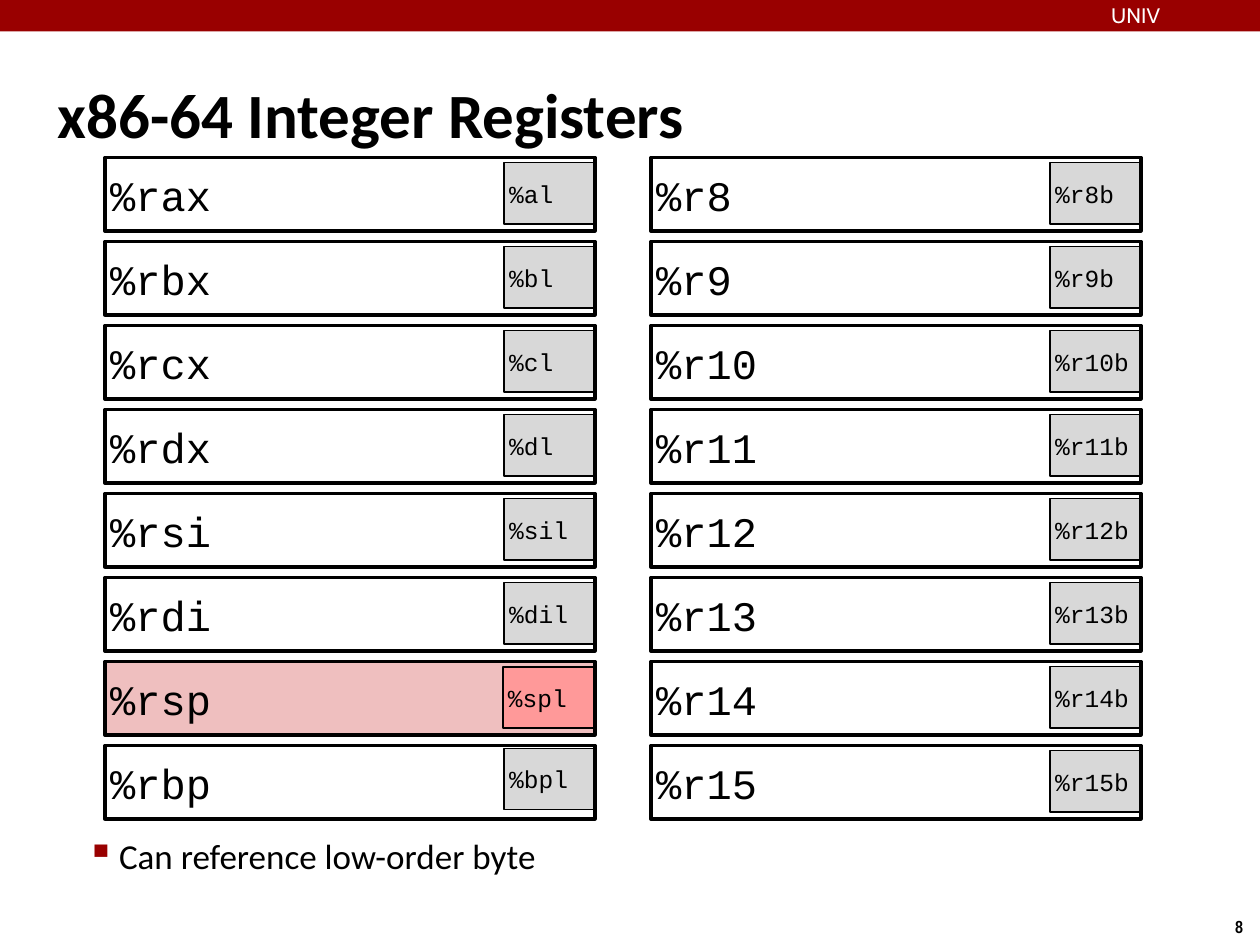
from lxml.etree import SubElement
from pptx import Presentation
from pptx.dml.color import RGBColor
from pptx.enum.shapes import MSO_SHAPE
from pptx.enum.text import MSO_ANCHOR, PP_ALIGN
from pptx.oxml.ns import qn
from pptx.util import Pt

COLORS = {
    "black": "000000",
    "white": "FFFFFF",
    "crimson": "990000",
    "gray": "D8D8D8",
    "pink": "EFBFBF",
    "salmon": "FF9999",
}
LEFT = [
    ("%rax", "%al"), ("%rbx", "%bl"), ("%rcx", "%cl"), ("%rdx", "%dl"),
    ("%rsi", "%sil"), ("%rdi", "%dil"), ("%rsp", "%spl"), ("%rbp", "%bpl"),
]
RIGHT = [(f"%r{n}", f"%r{n}b") for n in range(8, 16)]
BYTE_OFFSETS = {"%spl": (227.3, 3), "%bpl": (228, 1.6)}


def rgb(name):
    """Return the named colour."""
    return RGBColor.from_string(COLORS[name])


def write(sp, text, font, size, color="black", bold=False, margins=(3, 3),
          anchor=MSO_ANCHOR.TOP, align=PP_ALIGN.LEFT, wrap=True):
    """Put one formatted paragraph in a shape and return it."""
    tf = sp.text_frame
    mx, my = map(Pt, margins)
    frame = {"margin_left": mx, "margin_right": mx, "margin_top": my,
             "margin_bottom": my, "word_wrap": wrap, "vertical_anchor": anchor}
    for name, value in frame.items():
        setattr(tf, name, value)
    p = tf.paragraphs[0]
    p.alignment = align
    r = p.add_run()
    r.text = text
    for name, value in {"name": font, "size": Pt(size), "bold": bold}.items():
        setattr(r.font, name, value)
    r.font.color.rgb = rgb(color)
    return p


def add_text(s, box, text, font, size, **formats):
    """Add a text box and return its paragraph."""
    return write(s.shapes.add_textbox(*map(Pt, box)), text, font, size, **formats)


def add_rect(s, box, fill=None, line=None):
    """Add a flat rectangle with an optional fill and black outline."""
    sp = s.shapes.add_shape(MSO_SHAPE.RECTANGLE, *map(Pt, box))
    sp.shadow.inherit = False
    if fill:
        sp.fill.solid()
        sp.fill.fore_color.rgb = rgb(fill)
    else:
        sp.fill.background()
    if line:
        sp.line.color.rgb = rgb("black")
        sp.line.width = Pt(line)
    else:
        sp.line.fill.background()
    return sp


def add_cell(s, box, text, size, fill, line):
    """Add a labelled register rectangle."""
    write(add_rect(s, box, fill, line), text, "Courier New", size,
          anchor=MSO_ANCHOR.MIDDLE)


def add_register(s, box, name, low_byte):
    """Add a register with its low-order byte at the right end."""
    x, y, w, h = box
    dx, dy = BYTE_OFFSETS.get(low_byte, (228, 3))
    stack = name == "%rsp"
    whole = (box, name, 24, "pink" if stack else None, 2)
    part = ((x + dx, y + dy, 52, 35), low_byte, 14,
            "salmon" if stack else "gray", 1 if stack else 0.75)
    for cell in (whole, part) if stack else (part, whole):
        add_cell(s, *cell)


def add_column(s, box, registers):
    """Stack registers evenly in the box."""
    x, y, w, h = box
    gap = 6
    pitch = (h + gap) / len(registers)
    for i, (name, low_byte) in enumerate(registers):
        add_register(s, (x, y + i * pitch, w, pitch - gap), name, low_byte)


def add_header(s, box):
    """Add the top band with the school label."""
    x, y, w, h = box
    add_rect(s, box, "crimson")
    add_text(s, (x + 635, y + 1.4, 104, 14), "UNIV", "Cabin", 12,
             color="white", margins=(0, 0))


def add_bullet(s, box, text):
    """Add a paragraph with a square bullet."""
    p = add_text(s, box, text, "Calibri", 20)
    p.space_before = Pt(5)
    pPr = p._p.get_or_add_pPr()
    pPr.set("marL", str(Pt(40)))
    pPr.set("indent", str(Pt(-18.5)))
    SubElement(SubElement(pPr, qn("a:buClr")), qn("a:srgbClr"), val=COLORS["crimson"])
    SubElement(pPr, qn("a:buSzPct"), val="110000")
    SubElement(pPr, qn("a:buChar"), char="▪")


def main():
    """Build and save the register slide."""
    prs = Presentation()
    prs.slide_width, prs.slide_height = Pt(720), Pt(540)
    s = prs.slides.add_slide(prs.slide_layouts[6])
    add_header(s, (0, 0, 720, 18))
    add_text(s, (30, 20, 660, 90), "x86-64 Integer Registers", "Calibri", 36,
             bold=True, anchor=MSO_ANCHOR.MIDDLE)
    add_column(s, (60, 90, 280, 378), LEFT)
    add_column(s, (372, 90, 280, 378), RIGHT)
    add_bullet(s, (25, 474, 577, 66), "Can reference low-order byte")
    add_text(s, (681, 520, 54, 19.5), "8", "Arial Narrow", 10, bold=True,
             margins=(7.2, 3.6), align=PP_ALIGN.CENTER, wrap=False)
    prs.save("out.pptx")


if __name__ == "__main__":
    main()
